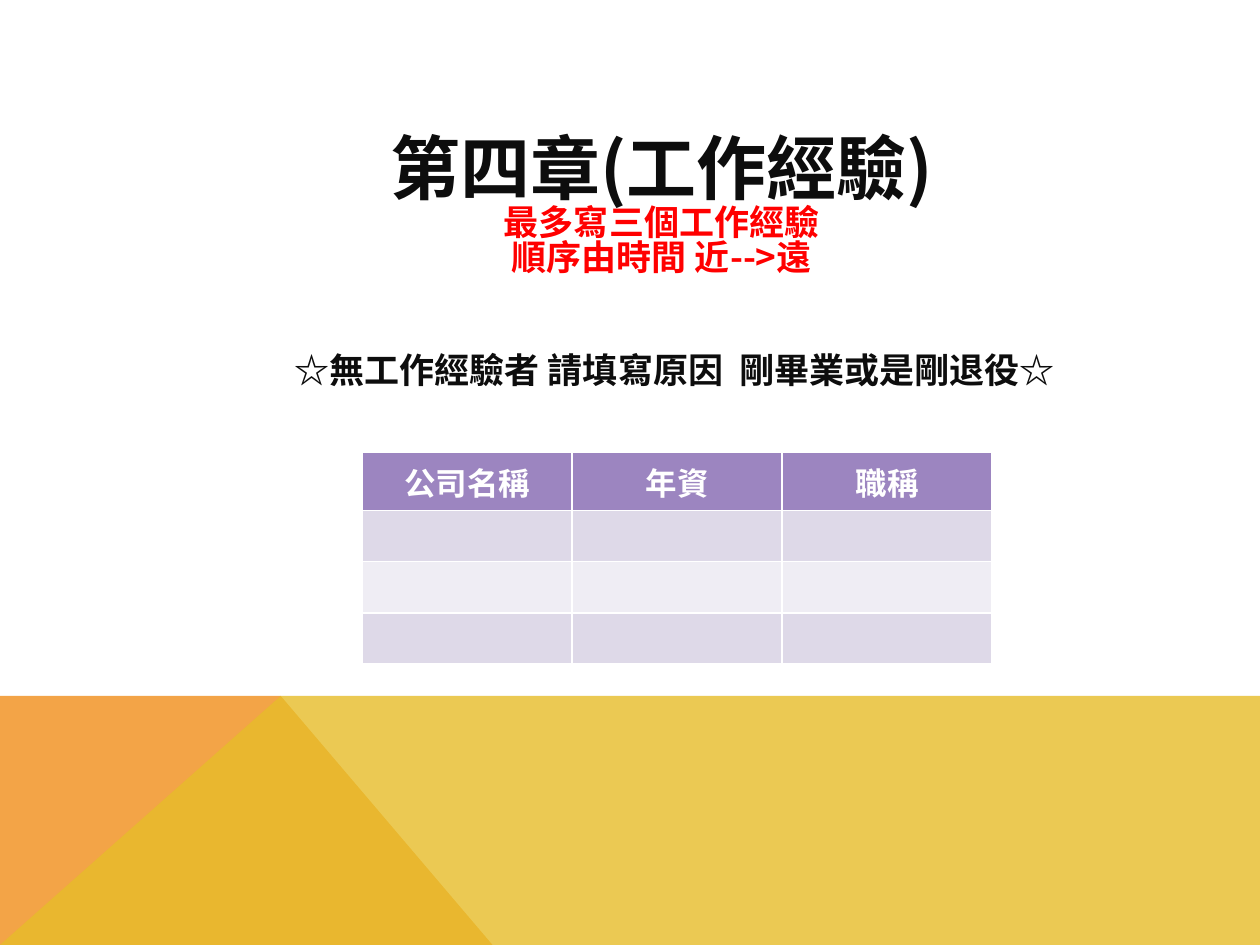
import pptx
import pptx.dml.color
import pptx.enum.text
import pptx.oxml
import pptx.oxml.ns
import pptx.util
import lxml.etree

Cm = pptx.util.Cm
CJK = "Noto Sans CJK SC"
CENTER = pptx.enum.text.PP_ALIGN.CENTER


def rgb(value):
    return pptx.dml.color.RGBColor.from_string(value)


def add_run(p, text, size, color, font=CJK):
    r = p.add_run()
    r.text = text
    r.font.size = pptx.util.Pt(size)
    r.font.bold = True
    r.font.color.rgb = rgb(color)
    r.font.name = font
    ea = lxml.etree.SubElement(r.font._element, pptx.oxml.ns.qn("a:ea"))
    ea.set("typeface", CJK)


def add_polygon(s, points, color, opacity=100):
    points = [(Cm(x), Cm(y)) for x, y in points]
    builder = s.shapes.build_freeform(*points[0])
    builder.add_line_segments(points[1:], close=True)
    sp = builder.convert_to_shape()
    sp.shadow.inherit = False
    sp.fill.solid()
    sp.fill.fore_color.rgb = rgb(color)
    sp.line.fill.background()
    if opacity < 100:
        clr = sp._element.spPr.find(".//" + pptx.oxml.ns.qn("a:srgbClr"))
        alpha = lxml.etree.SubElement(clr, pptx.oxml.ns.qn("a:alpha"))
        alpha.set("val", str(opacity * 1000))


def add_footer_band(s, left, top, width, height):
    right, bottom, peak = left + width, top + height, left + 5.66
    add_polygon(s, [(left, bottom), (left, top), (peak, top),
                    (left + 9.93, bottom)], "F3A447")
    add_polygon(s, [(left, bottom), (peak, top), (right, top),
                    (right, bottom)], "E7BC29", 80)


def add_title(s, left, top, width, height):
    sp = s.shapes.title
    sp.left, sp.top, sp.width, sp.height = map(Cm, (left, top, width, height))
    tf = sp.text_frame
    tf.word_wrap = True
    tf.auto_size = pptx.enum.text.MSO_AUTO_SIZE.NONE
    tf.vertical_anchor = pptx.enum.text.MSO_ANCHOR.TOP
    tf.margin_top = Cm(0.45)
    lines = [("第四章(工作經驗)", 40, "0D0D0D"),
             ("最多寫三個工作經驗", 20, "FF0000"),
             ("順序由時間 近-->遠", 20, "FF0000")]
    for i, line in enumerate(lines):
        p = tf.add_paragraph() if i else tf.paragraphs[0]
        p.alignment = CENTER
        p.line_spacing = 0.83
        p.space_before = pptx.util.Pt(0)
        add_run(p, *line)


def add_experience_table(s, left, top, width, height):
    headers = ["公司名稱", "年資", "職稱"]
    fills = ["9C85C0", "DED9E8", "EFEDF4", "DED9E8"]
    frame = s.shapes.add_table(len(fills), len(headers),
                               *map(Cm, (left, top, width, height)))
    for row, fill in zip(frame.table.rows, fills):
        for cell in row.cells:
            cell.fill.solid()
            cell.fill.fore_color.rgb = rgb(fill)
    for cell, header in zip(frame.table.rows[0].cells, headers):
        p = cell.text_frame.paragraphs[0]
        p.alignment = CENTER
        add_run(p, header, 18, "FFFFFF", "Lato")


def add_note(s, left, top, width, height):
    sp = s.shapes.add_textbox(*map(Cm, (left, top, width, height)))
    tf = sp.text_frame
    tf.word_wrap = True
    add_run(tf.paragraphs[0], "☆無工作經驗者 請填寫原因  剛畢業或是剛退役☆",
            20, "0D0D0D")


def main():
    prs = pptx.Presentation()
    prs.slide_width, prs.slide_height = Cm(25.4), Cm(19.05)
    s = prs.slides.add_slide(prs.slide_layouts[5])
    add_footer_band(s, 0, 14.03, 25.4, 5.02)
    add_title(s, 2.9, 2.34, 20.88, 1.52)
    add_experience_table(s, 7.3, 9.12, 12.7, 4.12)
    add_note(s, 5.69, 6.91, 16.74, 1.12)
    prs.save("out.pptx")


if __name__ == "__main__":
    main()
